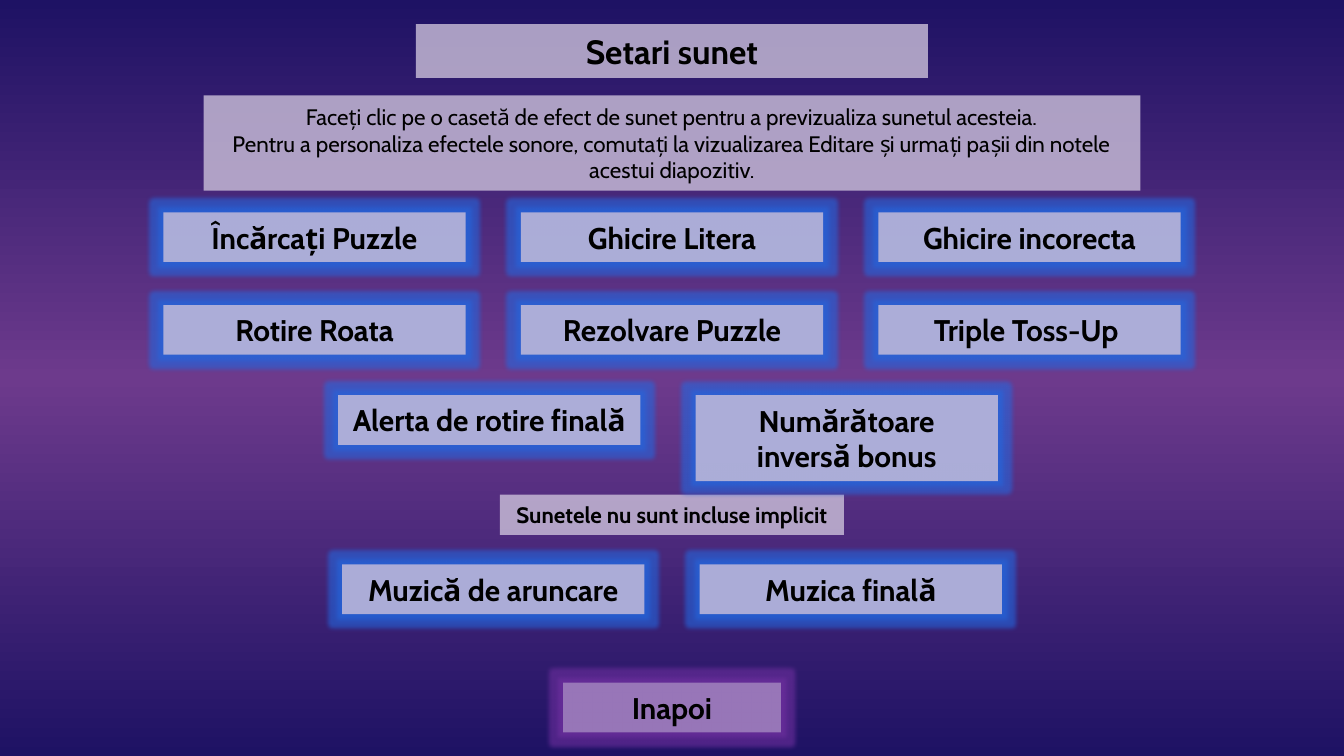
from copy import deepcopy

from pptx import Presentation
from pptx.dml.color import RGBColor
from pptx.enum.shapes import MSO_SHAPE
from pptx.enum.text import MSO_ANCHOR, MSO_AUTO_SIZE, PP_ALIGN
from pptx.oxml.ns import qn
from pptx.util import Inches, Pt
from lxml.etree import SubElement

COLORS = {
    "edge": "1E1264",
    "middle": "6D3A8C",
    "panel": "CCC1DA",
    "text": "000000",
    "blue glow": "2468E0",
    "purple glow": "7030A0",
}
FONT = "Cabin"
SLIDE_WIDTH = 10
SLIDE_HEIGHT = SLIDE_WIDTH * 9 / 16
BUTTON_WIDTH, BUTTON_HEIGHT, BUTTON_GAP = 2.25, 0.37, 0.41
GLOW_RADIUS = 0.07

BUTTON_ROWS = [
    (1.58, 0, ["Încărcați Puzzle", "Ghicire Litera", "Ghicire incorecta"]),
    (2.27, 0, ["Rotire Roata", "Rezolvare Puzzle", "Triple Toss-Up "]),
    (2.94, -0.03, ["Alerta de rotire finală", "Numărătoare inversă bonus"]),
    (4.2, 0, ["Muzică de aruncare", "Muzica finală"]),
]
TALL_BUTTONS = {"Numărătoare inversă bonus": 0.64}
INSTRUCTIONS = [
    "Faceți clic pe o casetă de efect de sunet pentru a previzualiza sunetul acesteia.",
    "Pentru a personaliza efectele sonore, comutați la vizualizarea Editare "
    "și urmați pașii din notele acestui diapozitiv.",
]


def color(name):
    return RGBColor.from_string(COLORS[name])


def set_alpha(color_element, percent):
    SubElement(color_element, qn("a:alpha"), val=str(percent * 1000))


def paint_background(page):
    fill = page.background.fill
    fill.gradient()
    fill.gradient_angle = 90
    stop_list = page.element.find(".//" + qn("a:gsLst"))
    stop_list.insert(1, deepcopy(stop_list[0]))
    for stop, position, name in zip(fill.gradient_stops, (0, 0.5, 1), ("edge", "middle", "edge")):
        stop.position = position
        stop.color.rgb = color(name)


def style_panel(box, text, size, bold=True, opacity=80):
    box.fill.solid()
    box.fill.fore_color.rgb = color("panel")
    set_alpha(box.element.spPr.find(".//" + qn("a:srgbClr")), opacity)
    box.line.fill.background()
    frame = box.text_frame
    frame.text = text
    frame.word_wrap = True
    frame.auto_size = MSO_AUTO_SIZE.NONE
    frame.vertical_anchor = MSO_ANCHOR.MIDDLE
    for para in frame.paragraphs:
        para.alignment = PP_ALIGN.CENTER
        for span in para.runs:
            span.font.name = FONT
            span.font.size = Pt(size)
            span.font.bold = bold
            span.font.color.rgb = color("text")


def add_panel(page, left, top, width, height, text, size, **style):
    box = page.shapes.add_shape(
        MSO_SHAPE.RECTANGLE, Inches(left), Inches(top), Inches(width), Inches(height)
    )
    box.shadow.inherit = False
    style_panel(box, text, size, **style)
    return box


def add_centered_panel(page, top, width, height, text, size, **style):
    return add_panel(page, (SLIDE_WIDTH - width) / 2, top, width, height, text, size, **style)


def add_glow(box, name):
    effects = box.element.spPr.find(qn("a:effectLst"))
    glow = SubElement(effects, qn("a:glow"), rad=str(Inches(GLOW_RADIUS)))
    set_alpha(SubElement(glow, qn("a:srgbClr"), val=COLORS[name]), 60)


def add_button_row(page, top, shift, labels):
    pitch = BUTTON_WIDTH + BUTTON_GAP
    first = (SLIDE_WIDTH - len(labels) * pitch + BUTTON_GAP) / 2 + shift
    for column, label in enumerate(labels):
        height = TALL_BUTTONS.get(label, BUTTON_HEIGHT)
        box = add_panel(page, first + column * pitch, top, BUTTON_WIDTH, height, label, 16)
        add_glow(box, "blue glow")


def add_title(page, text):
    title = page.shapes.title
    width = 3.81
    title.left, title.top = Inches((SLIDE_WIDTH - width) / 2), Inches(0.18)
    title.width, title.height = Inches(width), Inches(0.4)
    style_panel(title, text, 18)


def main():
    deck = Presentation()
    deck.slide_width, deck.slide_height = Inches(SLIDE_WIDTH), Inches(SLIDE_HEIGHT)
    page = deck.slides.add_slide(deck.slide_layouts[5])
    paint_background(page)
    add_title(page, "Setari sunet")
    add_centered_panel(page, 0.71, 6.97, 0.71, "\n".join(INSTRUCTIONS), 12, bold=False)
    add_centered_panel(page, 3.68, 2.56, 0.3, "Sunetele nu sunt incluse implicit", 12)
    for top, shift, labels in BUTTON_ROWS:
        add_button_row(page, top, shift, labels)
    back = add_centered_panel(page, 5.08, 1.62, BUTTON_HEIGHT, "Inapoi", 16, opacity=50)
    add_glow(back, "purple glow")
    deck.save("out.pptx")


if __name__ == "__main__":
    main()
